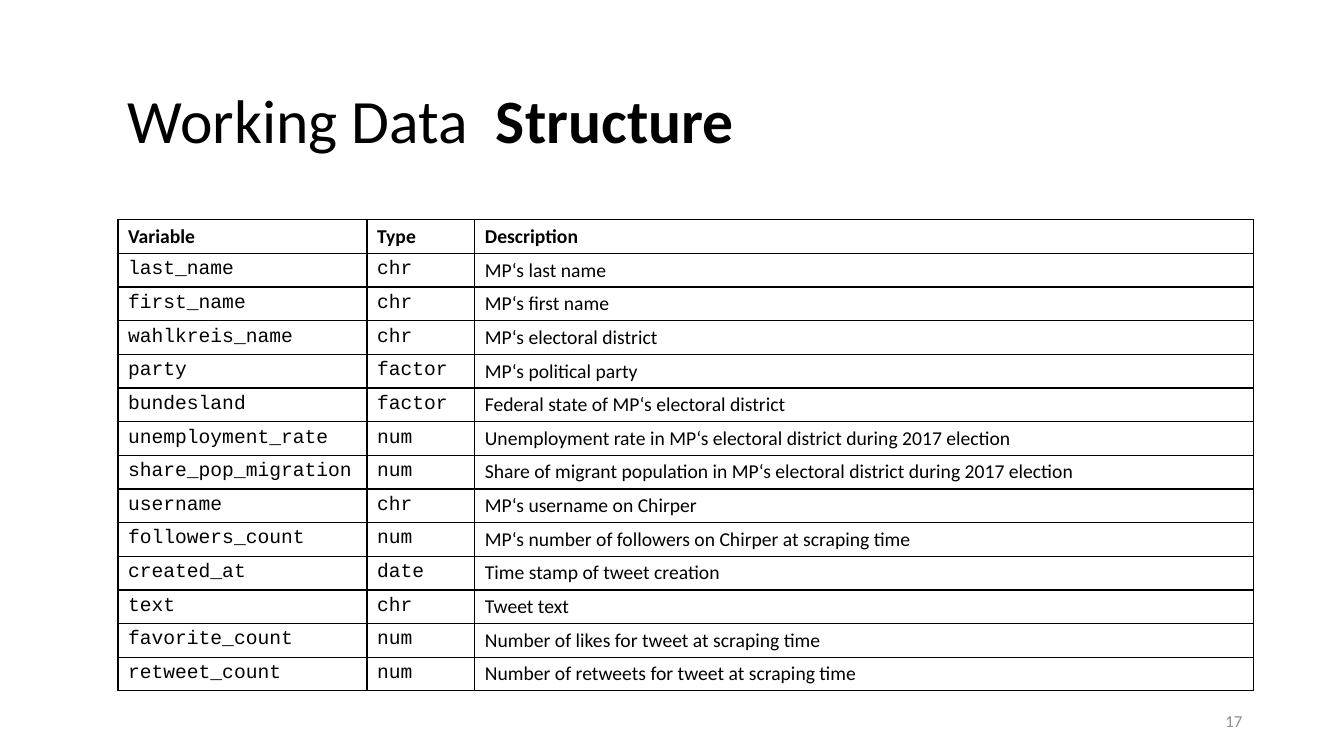
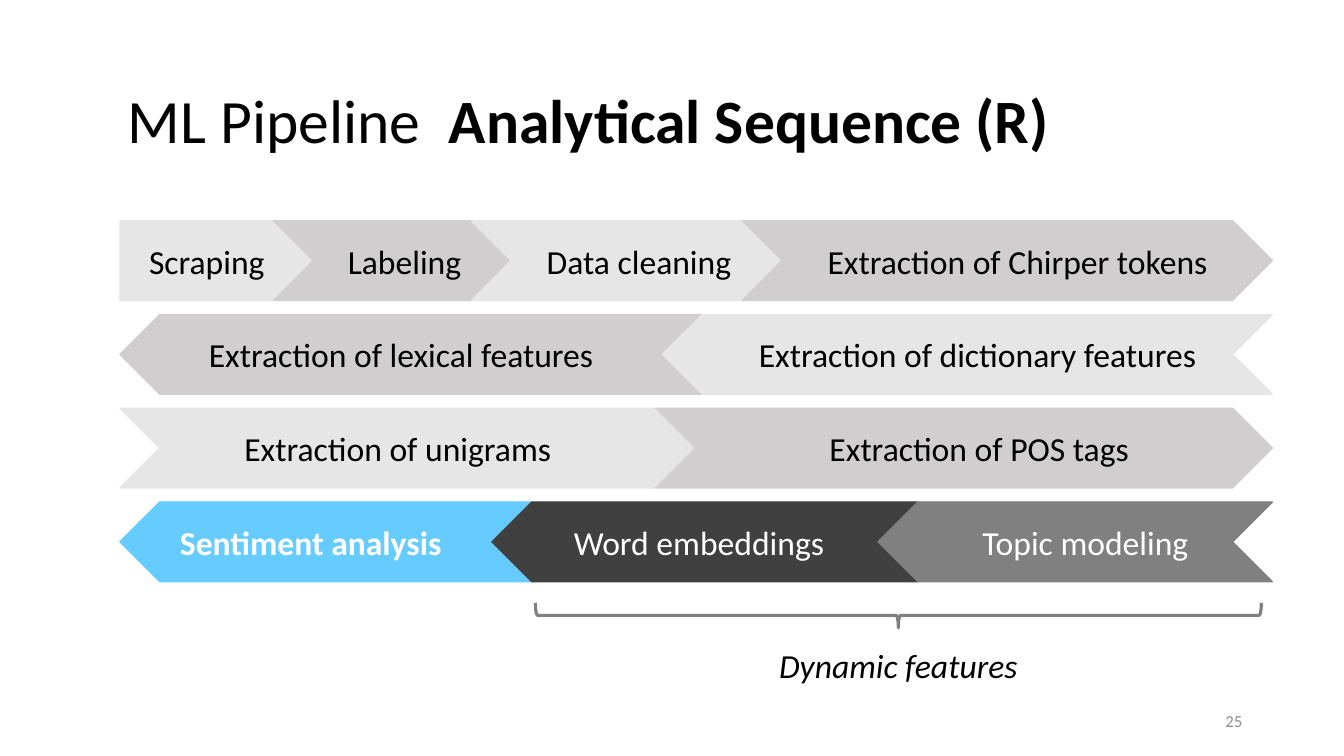
from dataclasses import dataclass

from lxml import etree
from pptx import Presentation
from pptx.dml.color import RGBColor
from pptx.enum.shapes import MSO_SHAPE
from pptx.enum.text import MSO_ANCHOR, PP_ALIGN
from pptx.oxml.ns import qn
from pptx.util import Inches, Pt

CHEVRON, PLATE, BRACE = MSO_SHAPE.CHEVRON, MSO_SHAPE.PENTAGON, MSO_SHAPE.RIGHT_BRACE
MIDDLE = MSO_ANCHOR.MIDDLE
LEFT, CENTER, RIGHT = PP_ALIGN.LEFT, PP_ALIGN.CENTER, PP_ALIGN.RIGHT


@dataclass(frozen=True)
class Theme:
    font: str = "Calibri"
    code: str = "Courier New"
    ink: str = "000000"
    paper: str = "FFFFFF"
    muted: str = "8C8C8C"
    pale: str = "E7E6E6"
    mid: str = "D0CECE"
    sky: str = "66CCFF"
    dark: str = "404040"
    gray: str = "808080"
    title: int = 44
    step: int = 24
    cell: int = 14
    foot: int = 12


T = Theme()

FIELDS = [
    ("Variable", "Type", "Description"),
    ("last_name", "chr", "MP‘s last name"),
    ("first_name", "chr", "MP‘s first name"),
    ("wahlkreis_name", "chr", "MP‘s electoral district"),
    ("party", "factor", "MP‘s political party"),
    ("bundesland", "factor", "Federal state of MP‘s electoral district"),
    ("unemployment_rate", "num",
     "Unemployment rate in MP‘s electoral district during 2017 election"),
    ("share_pop_migration", "num",
     "Share of migrant population in MP‘s electoral district during 2017 election"),
    ("username", "chr", "MP‘s username on Chirper"),
    ("followers_count", "num", "MP‘s number of followers on Chirper at scraping time"),
    ("created_at", "date", "Time stamp of tweet creation"),
    ("text", "chr", "Tweet text"),
    ("favorite_count", "num", "Number of likes for tweet at scraping time"),
    ("retweet_count", "num", "Number of retweets for tweet at scraping time"),
]

# Each step: text, tip offset from the box's left, fill, shift of the text.
# Each lane: whether it points left, its steps in reading order.
LANES = [
    (False, [("Scraping", 1.92, T.pale, 0),
             ("Labeling", 3.88, T.mid, 0.12),
             ("Data cleaning", 6.57, T.pale, 0.12),
             ("Extraction of Chirper tokens", 11.43, T.mid, 0.1)]),
    (True, [("Extraction of lexical features", 0, T.mid, -0.1),
            ("Extraction of dictionary features", 5.38, T.pale, 0.1)]),
    (False, [("Extraction of unigrams", 5.71, T.pale, -0.1),
             ("Extraction of POS tags", 11.43, T.mid, 0.15)]),
    (True, [("Sentiment analysis", 0, T.sky, -0.15),
            ("Word embeddings", 3.69, T.dark, -0.06),
            ("Topic modeling", 7.52, T.gray, 0.1)]),
]


def color(code):
    return RGBColor.from_string(code)


def add_run(para, text, size, ink=T.ink, font=T.font, bold=False, italic=False):
    run = para.add_run()
    run.text = text
    run.font.name, run.font.size = font, Pt(size)
    run.font.bold, run.font.italic = bold, italic
    run.font.color.rgb = color(ink)


def add_box(slide, box, align=LEFT):
    """Add a centred-height text box and return its first paragraph."""
    frame = slide.shapes.add_textbox(*map(Inches, box)).text_frame
    frame.word_wrap = True
    frame.vertical_anchor = MIDDLE
    para = frame.paragraphs[0]
    para.alignment = align
    return para


def new_slide(deck, topic, focus, page):
    """Add a blank slide with the shared title and page number."""
    slide = deck.slides.add_slide(deck.slide_layouts[6])
    para = add_box(slide, (1.17, 0.61, 11.25, 1.23))
    para.line_spacing = 0.9
    add_run(para, topic + "  ", T.title)
    add_run(para, focus, T.title, bold=True)
    para = add_box(slide, (9.42, 6.95, 3, 0.4), RIGHT)
    add_run(para, str(page), T.foot, T.muted)
    return slide


def add_edges(cell):
    """Rule all four sides of a table cell."""
    props = cell._tc.get_or_add_tcPr()
    for spot, side in enumerate(("lnL", "lnR", "lnT", "lnB")):
        line = etree.Element(qn("a:" + side), w=str(Pt(1)))
        fill = etree.SubElement(line, qn("a:solidFill"))
        etree.SubElement(fill, qn("a:srgbClr"), val=T.ink)
        props.insert(spot, line)


def add_grid(slide, box, widths, rows):
    shape = slide.shapes.add_table(len(rows), len(widths), *map(Inches, box))
    table = shape.table
    table.first_row = table.horz_banding = False
    for col, width in zip(table.columns, widths):
        col.width = Inches(width)
    for r, row in enumerate(rows):
        table.rows[r].height = Inches(box[3] / len(rows))
        for c, text in enumerate(row):
            cell = table.cell(r, c)
            cell.fill.solid()
            cell.fill.fore_color.rgb = color(T.paper)
            add_edges(cell)
            font = T.code if r and c < 2 else T.font
            add_run(cell.text_frame.paragraphs[0], text, T.cell, font=font, bold=r == 0)


def add_step(slide, kind, box, back, text, fill, shift):
    shape = slide.shapes.add_shape(kind, *map(Inches, box))
    shape.shadow.inherit = False
    shape.adjustments[0] = 0.5
    shape.fill.solid()
    shape.fill.fore_color.rgb = shape.line.color.rgb = color(fill)
    shape.line.width = Pt(1)
    if back:
        shape._element.spPr.get_or_add_xfrm().set("flipH", "1")
    frame = shape.text_frame
    frame.word_wrap = True
    frame.vertical_anchor = MIDDLE
    frame.margin_left = Inches(max(0, 2 * shift))
    frame.margin_right = Inches(max(0, -2 * shift))
    para = frame.paragraphs[0]
    para.alignment = CENTER
    ink = T.ink if fill in (T.pale, T.mid) else T.paper
    add_run(para, text, T.step, ink, bold=fill == T.sky)


def add_lanes(slide, box, lanes, tall=0.79):
    """Stack lanes of interlocking arrows that run to and fro."""
    left, top, width, height = box
    notch = tall / 2
    pitch = (height - tall) / (len(lanes) - 1)
    for row, (back, steps) in enumerate(lanes):
        tips = [step[1] for step in steps]
        for n, (text, tip, fill, shift) in enumerate(steps):
            if back:
                start = tip
                end = tips[n + 1] + notch if n + 1 < len(tips) else width
            else:
                start = tips[n - 1] - notch if n else 0
                end = tip
            kind = PLATE if row == n == 0 else CHEVRON
            place = (left + start, top + row * pitch, end - start, tall)
            add_step(slide, kind, place, back, text, fill, shift)


def add_note(slide, box, text):
    """Add a brace along the top of the box and a caption below it."""
    left, top, width, height = box
    thick = 0.25
    mid = left + width / 2
    brace = slide.shapes.add_shape(
        BRACE, Inches(mid - thick / 2), Inches(top + (thick - width) / 2),
        Inches(thick), Inches(width))
    brace.rotation = 90
    brace.shadow.inherit = False
    brace.fill.background()
    brace.line.color.rgb = color(T.gray)
    brace.line.width = Pt(2.25)
    high = 0.49
    para = add_box(slide, (mid - 1.3, top + height - high, 2.6, high), CENTER)
    add_run(para, text, T.step, italic=True)


def main():
    deck = Presentation()
    deck.slide_width, deck.slide_height = Inches(13.33), Inches(7.5)

    slide = new_slide(deck, "Working Data", "Structure", 17)
    add_grid(slide, (1.17, 2.18, 11.25, 4.67), (2.47, 1.07, 7.72), FIELDS)

    slide = new_slide(deck, "ML Pipeline", "Analytical Sequence (R)", 25)
    add_lanes(slide, (1.19, 2.19, 11.43, 3.58), LANES)
    add_note(slide, (5.31, 5.98, 7.2, 0.86), "Dynamic features")

    deck.save("out.pptx")


if __name__ == "__main__":
    main()
